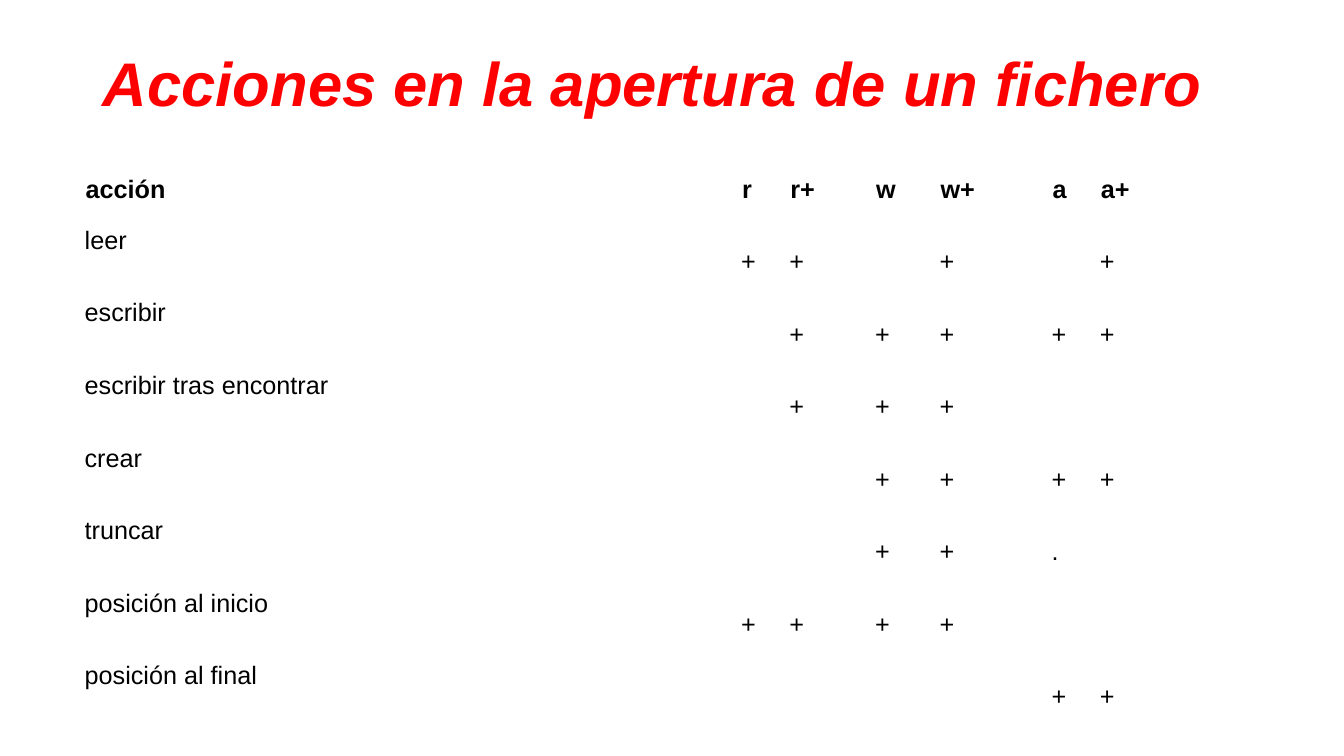
from pptx import Presentation
from pptx.dml.color import RGBColor
from pptx.enum.text import MSO_ANCHOR, PP_ALIGN
from pptx.util import Inches, Pt

SLIDE_W, SLIDE_H = 13.33, 7.5
COLUMN_WIDTHS = [6.51, 0.48, 0.85, 0.64, 1.11, 0.48, 0.98]
ROW_HEIGHT = 0.72
MARK_DROP = 0.42  # marks sit lower than the action names

MODES = ["r", "r+", "w", "w+", "a", "a+"]
ACTIONS = {
    "leer": ["+", "+", "", "+", "", "+"],
    "escribir": ["", "+", "+", "+", "+", "+"],
    "escribir tras encontrar": ["", "+", "+", "+", "", ""],
    "crear": ["", "", "+", "+", "+", "+"],
    "truncar": ["", "", "+", "+", ".", ""],
    "posición al inicio": ["+", "+", "+", "+", "", ""],
    "posición al final": ["", "", "", "", "+", "+"],
}


def set_font(p, size, color, bold=False, italic=False):
    p.font.name = "Arial"
    p.font.size = Pt(size)
    p.font.bold = bold
    p.font.italic = italic
    p.font.color.rgb = RGBColor.from_string(color)


def add_title(s, text):
    title = s.shapes.title
    title.left, title.top = Inches(0.069 * SLIDE_W), Inches(0.053 * SLIDE_H)
    title.width, title.height = Inches(0.863 * SLIDE_W), Inches(0.123 * SLIDE_H)
    tf = title.text_frame
    tf.text = text
    tf.vertical_anchor = MSO_ANCHOR.MIDDLE
    p = tf.paragraphs[0]
    p.alignment = PP_ALIGN.LEFT
    p.line_spacing = 0.9
    set_font(p, 44, "FF0000", bold=True, italic=True)


def fill_cell(cell, text, header, mark):
    cell.fill.background()
    cell.margin_left = Inches(0.01 if header else 0)
    cell.margin_right = cell.margin_bottom = Inches(0.01)
    cell.margin_top = Inches(MARK_DROP if mark else 0)
    cell.vertical_anchor = MSO_ANCHOR.BOTTOM if header else MSO_ANCHOR.MIDDLE
    cell.text = text
    set_font(cell.text_frame.paragraphs[0], 18, "000000", bold=header)


def add_mode_table(s, left, top):
    rows = [["acción", *MODES]] + [[name, *marks] for name, marks in ACTIONS.items()]
    table = s.shapes.add_table(
        len(rows), len(COLUMN_WIDTHS), Inches(left), Inches(top),
        Inches(sum(COLUMN_WIDTHS)), Inches(ROW_HEIGHT * len(rows)),
    ).table
    table.first_row = table.horz_banding = False
    for column, width in zip(table.columns, COLUMN_WIDTHS):
        column.width = Inches(width)
    for i, texts in enumerate(rows):
        table.rows[i].height = Inches(ROW_HEIGHT)
        for j, text in enumerate(texts):
            fill_cell(table.cell(i, j), text, header=i == 0, mark=i > 0 and j > 0)


def main():
    prs = Presentation()
    prs.slide_width, prs.slide_height = Inches(SLIDE_W), Inches(SLIDE_H)
    s = prs.slides.add_slide(prs.slide_layouts[5])
    add_title(s, "Acciones en la apertura de un fichero")
    add_mode_table(s, 0.063 * SLIDE_W, 0.175 * SLIDE_H)
    prs.save("out.pptx")


if __name__ == "__main__":
    main()
